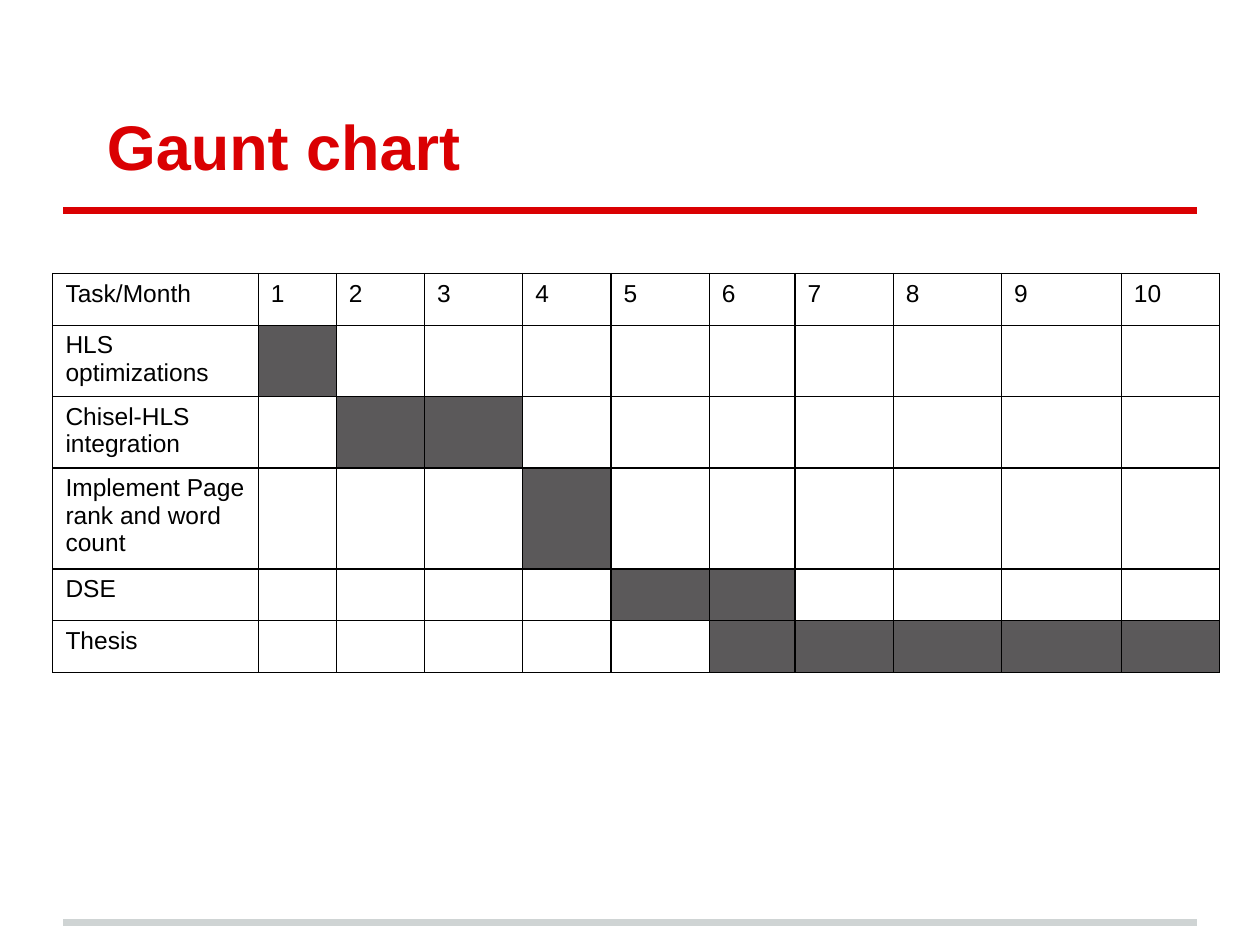
from lxml.etree import SubElement
from pptx import Presentation
from pptx.dml.color import RGBColor
from pptx.enum.shapes import MSO_CONNECTOR
from pptx.enum.text import MSO_ANCHOR
from pptx.oxml.ns import qn
from pptx.util import Inches, Pt

# Content: each task with its first and last month
TITLE = "Gaunt chart"
HEAD = "Task/Month"
TASKS = [
    ("HLS optimizations", 1, 1),
    ("Chisel-HLS integration", 2, 3),
    ("Implement Page rank and word count", 4, 4),
    ("DSE", 5, 6),
    ("Thesis", 6, 10),
]
COLS = [1.63, 0.62, 0.7, 0.78, 0.7, 0.78, 0.68, 0.78, 0.86, 0.95, 0.78]
ROW = 0.41

FONT = "Arial"
RED = RGBColor(0xDA, 0x00, 0x02)
PALE = RGBColor(0xCF, 0xD4, 0xD4)
GREY = RGBColor(0x5B, 0x59, 0x5A)
BLACK = RGBColor(0, 0, 0)
WIDE, HIGH = 10, 7.5
EDGE = 0.05 * WIDE


def style(para, size, color, bold=False):
    for run in para.runs:
        font = run.font
        font.name, font.size, font.bold = FONT, Pt(size), bold
        font.color.rgb = color


def add_rule(slide, y, color):
    line = slide.shapes.add_connector(
        MSO_CONNECTOR.STRAIGHT, Inches(EDGE), Inches(y),
        Inches(WIDE - EDGE), Inches(y))
    line.line.color.rgb = color
    line.line.width = Pt(4)
    SubElement(line._element.spPr, qn("a:effectLst"))


def add_title(slide):
    box = slide.shapes.add_textbox(
        Inches(EDGE), Inches(0.3), Inches(WIDE - 2 * EDGE), Inches(1.25))
    frame = box.text_frame
    frame.word_wrap = True
    frame.vertical_anchor = MSO_ANCHOR.BOTTOM
    frame.margin_left = frame.margin_right = Inches(0.1)
    frame.margin_top = frame.margin_bottom = Inches(0.1)
    frame.text = TITLE
    para = frame.paragraphs[0]
    para._p.get_or_add_pPr().set("indent", str(Inches(0.25)))
    style(para, 36, RED, True)


def add_border(cell):
    props = cell._tc.get_or_add_tcPr()
    for spot, side in enumerate(("lnL", "lnR", "lnT", "lnB")):
        edge = SubElement(props, qn("a:" + side), w=str(Pt(0.75)))
        fill = SubElement(edge, qn("a:solidFill"))
        SubElement(fill, qn("a:srgbClr"), val=str(BLACK))
        props.insert(spot, edge)


def add_gantt(slide):
    months = range(1, len(COLS))
    count = len(TASKS) + 1
    table = slide.shapes.add_table(
        count, len(COLS), Inches(0.42), Inches(2.17),
        Inches(sum(COLS)), Inches(ROW * count)).table
    table.first_row = table.horz_banding = False
    for col, width in zip(table.columns, COLS):
        col.width = Inches(width)
    for row in table.rows:
        row.height = Inches(ROW)

    # Labels
    for col, text in enumerate([HEAD, *map(str, months)]):
        table.cell(0, col).text = text
    for row, (name, _, _) in enumerate(TASKS, 1):
        table.cell(row, 0).text = name

    # Borders, text style and plain fill
    for cell in table.iter_cells():
        cell.fill.background()
        add_border(cell)
        style(cell.text_frame.paragraphs[0], 14, BLACK)

    # Bars
    for row, (_, first, last) in enumerate(TASKS, 1):
        for month in range(first, last + 1):
            fill = table.cell(row, month).fill
            fill.solid()
            fill.fore_color.rgb = GREY


def main():
    deck = Presentation()
    deck.slide_width, deck.slide_height = Inches(WIDE), Inches(HIGH)
    slide = deck.slides.add_slide(deck.slide_layouts[6])
    add_rule(slide, 7.32, PALE)
    add_rule(slide, 1.67, RED)
    add_title(slide)
    add_gantt(slide)
    deck.save("out.pptx")


if __name__ == "__main__":
    main()
